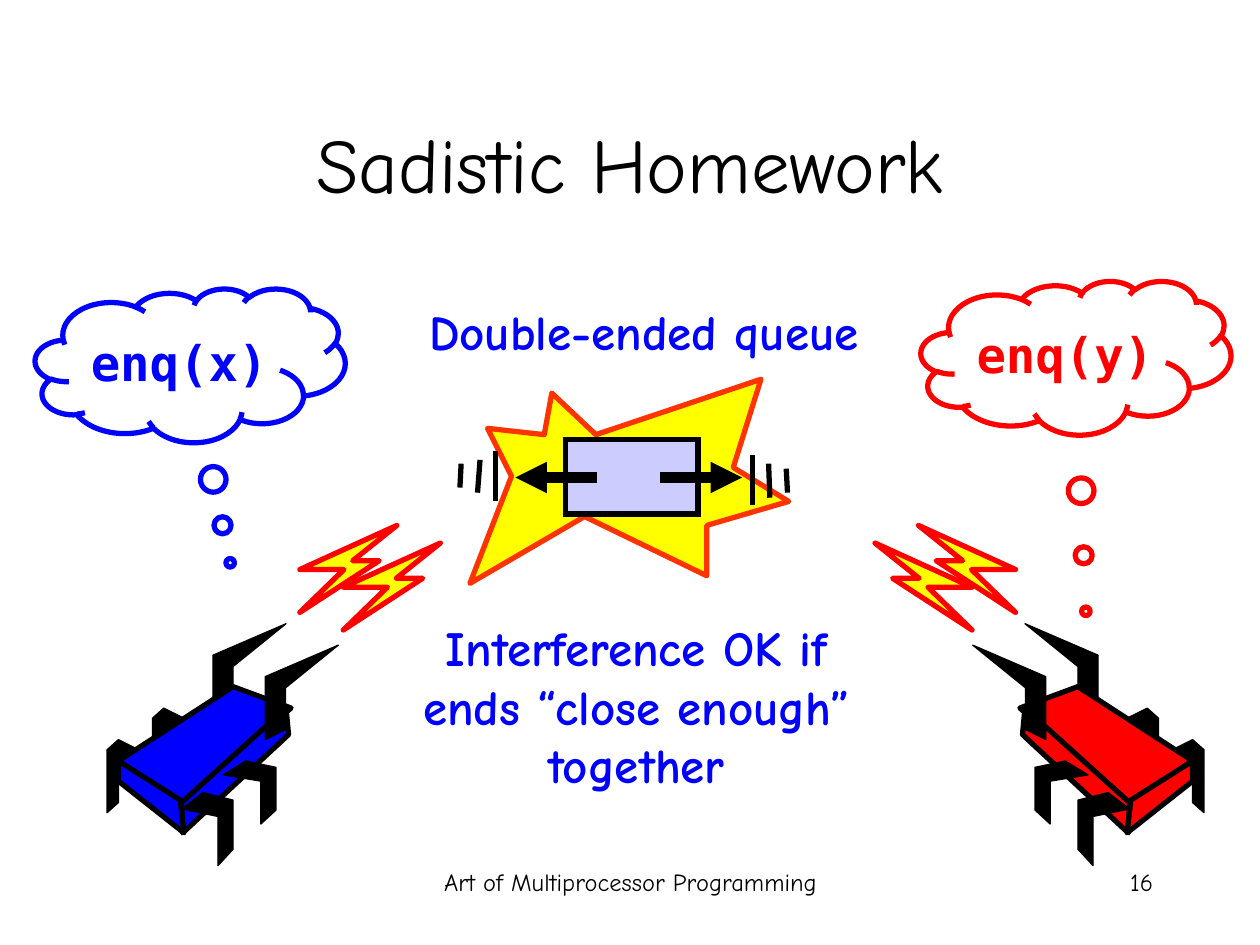
from dataclasses import dataclass
from typing import Optional

from lxml import etree
from pptx import Presentation
from pptx.dml.color import RGBColor
from pptx.enum.shapes import MSO_CONNECTOR, MSO_SHAPE
from pptx.enum.text import MSO_ANCHOR, PP_ALIGN
from pptx.oxml.ns import qn
from pptx.util import Emu, Inches, Pt

STRAIGHT = MSO_CONNECTOR.STRAIGHT
RECTANGLE, CLOUD = MSO_SHAPE.RECTANGLE, MSO_SHAPE.CLOUD_CALLOUT
TOP, MIDDLE = MSO_ANCHOR.TOP, MSO_ANCHOR.MIDDLE
CENTER, RIGHT = PP_ALIGN.CENTER, PP_ALIGN.RIGHT

# The slide is a grid of 100 columns by 75 rows
COLUMNS, ROWS = 100, 75
CELL = Inches(10) // COLUMNS
FINE = 100  # freeform points are whole numbers, so each cell is split
HAND, MONO = "Comic Neue", "DejaVu Sans Mono"
BLACK, BLUE, RED = "000000", "0000FF", "FF0000"
YELLOW, ORANGE, LAVENDER = "FFFF00", "FF3300", "CCCCFF"
THIN, THICK, ARROW = 0.75, 3, 6

Point = tuple[float, float]
Frame = tuple[float, float, float, float]


@dataclass(frozen=True)
class Part:
    points: list[Point]
    fill: Optional[str] = BLACK  # None takes the colour of the robot
    width: float = THIN
    offset: Point = (0, 0)


@dataclass(frozen=True)
class Label:
    text: str
    frame: Frame
    size: float
    color: str = BLACK
    bold: bool = False
    align: PP_ALIGN = CENTER


@dataclass(frozen=True)
class Thought:
    text: str
    frame: Frame
    tail: Point
    color: str


# Robot parts, from back to front
ANTENNA = [(16.9, 57), (18.5, 56.2), (18.5, 52.9), (22.7, 49.5), (16.9, 52)]
BACK_LEG = [(11, 59.5), (9.4, 58.7), (8.5, 59.5), (8.5, 64.5),
            (9.4, 63.7), (9.4, 60.4), (11, 61.2)]
ROBOT = [
    Part(ANTENNA),
    Part(BACK_LEG),
    Part(BACK_LEG, offset=(3.6, -2.5)),
    Part([(18.5, 54.5), (9.4, 60.4), (14.5, 63.8), (23.1, 56.2)], None, THICK),
    Part([(22.7, 56.2), (14.4, 63.7), (14.5, 66.1), (22.9, 58.3)], None, THICK),
    Part([(9.4, 60.4), (9.4, 62), (14.6, 66.1), (14.3, 63.5)], None, THICK),
    Part([(16.1, 62.9), (14.4, 64.2), (17.3, 64.8), (17.3, 68.7),
          (18.5, 67.4), (18.5, 63.5)]),
    Part([(19.5, 60.4), (17.7, 61.5), (20.7, 62), (20.7, 65.4),
          (21.9, 64.3), (21.9, 60.9)]),
    Part(ANTENNA, offset=(4.15, 1.7)),
]
BOLT = [(23.8, 48.6), (27.3, 45.2), (23.8, 45.2), (31.5, 41.7),
        (28, 44.5), (30.1, 44.5)]
BOLTS = [Part(BOLT, YELLOW, THICK, step) for step in ((0, 0), (3.45, 1.4))]
ROBOT_MIRROR, BOLT_MIRROR = 104.05, 104.4

BURST = [(47.3, 34.5), (43.8, 31.2), (43.2, 34.5), (38.7, 34), (40.6, 37.8),
         (37.3, 46.3), (46.4, 41), (56.1, 45.7), (56.1, 41.7), (62.6, 39.8),
         (58.2, 37.1), (60.4, 30.1)]
MOTION_LINES = [
    ((59.7, 36.1), (59.7, 40.1)), ((61, 36.8), (61.1, 39.5)),
    ((62.4, 37.2), (62.5, 39.1)), ((39.3, 35.8), (39.3, 39.8)),
    ((38.1, 36.5), (37.9, 39.1)), ((36.6, 36.8), (36.5, 38.7)),
]
ARROWS = [((52.4, 37.9), (58.9, 37.9)), ((47.4, 37.9), (40.9, 37.9))]
THOUGHTS = [
    Thought("enq(x)", (2.8, 22.9, 24.6, 12.2), (0.129, 1.284), BLUE),
    Thought("enq(y)", (73.1, 22.3, 24.6, 12.2), (0.032, 1.649), RED),
]
LABELS = [
    Label("Double-ended queue", (32.1, 23.4, 38, 5.7), 28, BLUE, True),
    Label("Interference OK if ends “close enough” together",
          (30.4, 48.5, 40.2, 15), 28, BLUE, True),
    Label("Art of Multiprocessor Programming", (34.2, 68.3, 31.7, 5), 14),
    Label("16", (71.7, 68.3, 20.8, 5), 14, align=RIGHT),
]


def rgb(color: str) -> RGBColor:
    return RGBColor.from_string(color)


def cells(values) -> list[Emu]:
    return [Emu(round(value * CELL)) for value in values]


def paint(shape, fill: Optional[str], line: str, width: float) -> None:
    shape.shadow.inherit = False
    if fill is None:
        shape.fill.background()
    else:
        shape.fill.solid()
        shape.fill.fore_color.rgb = rgb(fill)
    shape.line.color.rgb = rgb(line)
    shape.line.width = Pt(width)


def write(frame, text: str, font: str, size: float, color: str, bold=False,
          align=CENTER, anchor=TOP) -> None:
    frame.word_wrap = True
    frame.vertical_anchor = anchor
    para = frame.paragraphs[0]
    para.alignment = align
    span = para.add_run()
    span.text = text
    for name, value in {"name": font, "size": Pt(size), "bold": bold}.items():
        setattr(span.font, name, value)
    span.font.color.rgb = rgb(color)


def draw_outline(page, points: list[Point], fill: str, line: str, width: float) -> None:
    start, *rest = [(round(x * FINE), round(y * FINE)) for x, y in points]
    builder = page.shapes.build_freeform(*start, scale=CELL / FINE)
    builder.add_line_segments(rest, close=True)
    paint(builder.convert_to_shape(), fill, line, width)


def draw_parts(page, parts: list[Part], color: str, line: str,
               mirror: Optional[float] = None) -> None:
    for part in parts:
        across, down = part.offset
        points = [(x + across, y + down) for x, y in part.points]
        if mirror is not None:
            points = [(mirror - x, y) for x, y in points]
        draw_outline(page, points, part.fill or color, line, part.width)


def draw_line(page, start: Point, end: Point, width: float, arrow=False) -> None:
    line = page.shapes.add_connector(STRAIGHT, *cells(start + end))
    line.line.color.rgb = rgb(BLACK)
    line.line.width = Pt(width)
    if arrow:
        etree.SubElement(line.line._get_or_add_ln(), qn("a:tailEnd"), type="triangle")
    etree.SubElement(line._element.spPr, qn("a:effectLst"))


def draw_thought(page, thought: Thought) -> None:
    cloud = page.shapes.add_shape(CLOUD, *cells(thought.frame))
    for index, value in enumerate(thought.tail):
        cloud.adjustments[index] = value
    paint(cloud, None, thought.color, THICK)
    write(cloud.text_frame, thought.text, MONO, 28, thought.color, True, anchor=MIDDLE)


def draw_label(page, label: Label) -> None:
    box = page.shapes.add_textbox(*cells(label.frame))
    write(box.text_frame, label.text, HAND, label.size, label.color,
          label.bold, label.align)


def main() -> None:
    deck = Presentation()
    deck.slide_width, deck.slide_height = cells((COLUMNS, ROWS))
    page = deck.slides.add_slide(deck.slide_layouts[5])

    # Title
    title = page.shapes.title
    title.left, title.top, title.width, title.height = cells((7.5, 6.7, 85, 12.5))
    write(title.text_frame, "Sadistic Homework", HAND, 44, BLACK, anchor=MIDDLE)

    # Burst and the two robots
    draw_outline(page, BURST, YELLOW, ORANGE, THICK)
    draw_parts(page, ROBOT, BLUE, BLACK)
    draw_parts(page, ROBOT, RED, BLACK, ROBOT_MIRROR)

    # Queue with square corners, pulled at both ends
    for start, end in MOTION_LINES:
        draw_line(page, start, end, THICK)
    queue = page.shapes.add_shape(RECTANGLE, *cells((44.9, 34.9, 10.5, 5.9)))
    paint(queue, LAVENDER, BLACK, THICK)
    etree.SubElement(queue.line._get_or_add_ln(), qn("a:miter"), lim="800000")
    for start, end in ARROWS:
        draw_line(page, start, end, ARROW, arrow=True)

    # Thoughts, labels and bolts
    for thought in THOUGHTS:
        draw_thought(page, thought)
    for label in LABELS:
        draw_label(page, label)
    draw_parts(page, BOLTS, YELLOW, RED)
    draw_parts(page, BOLTS, YELLOW, RED, BOLT_MIRROR)

    deck.save("out.pptx")


if __name__ == "__main__":
    main()
